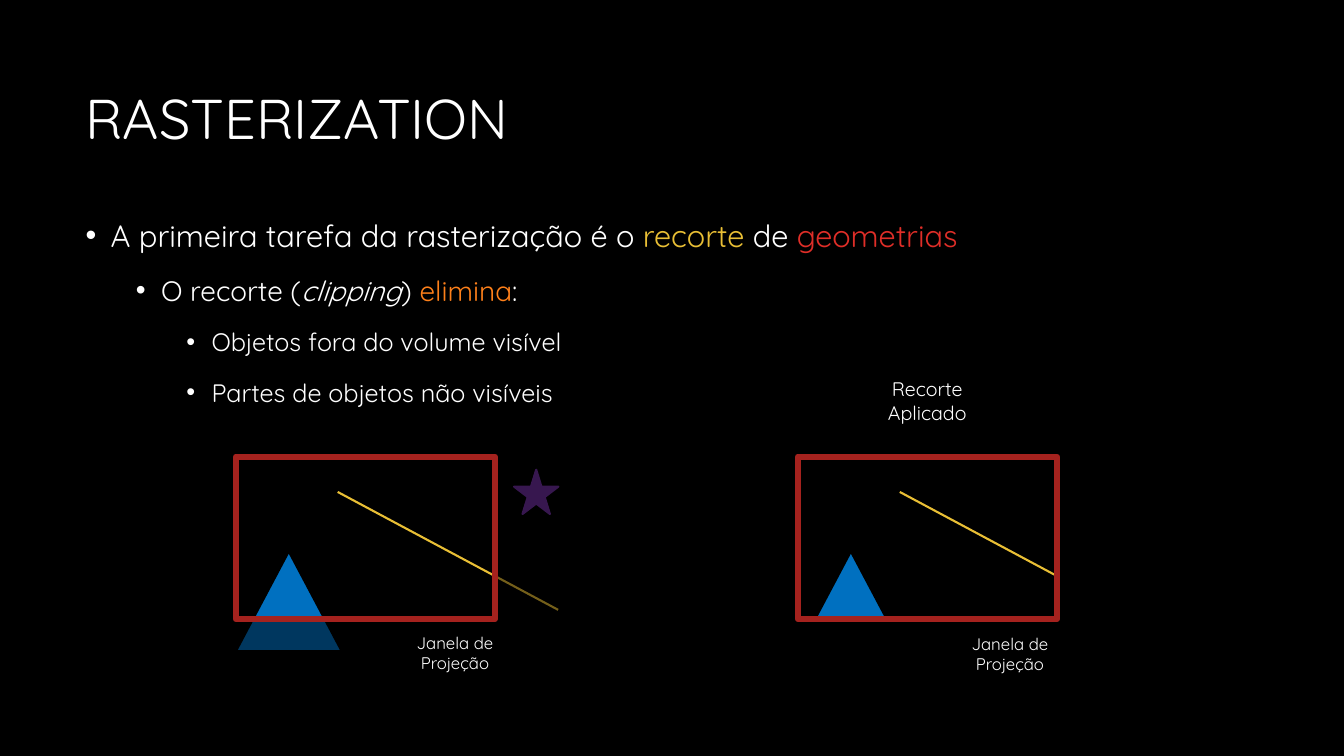
from lxml.etree import SubElement
from pptx import Presentation
from pptx.dml.color import RGBColor
from pptx.enum.shapes import MSO_CONNECTOR, MSO_SHAPE
from pptx.enum.text import MSO_ANCHOR, PP_ALIGN
from pptx.oxml.ns import qn
from pptx.util import Pt

FONT = "Quicksand"
COLORS = {
    "black": "000000",
    "white": "FFFFFF",
    "yellow": "E9BF35",
    "red": "DF2E28",
    "orange": "FE801A",
    "blue": "0070C0",
    "purple": "7030A0",
    "frame": "A5221E",
}
# Each item: level, size, space before, runs of (text, color, italic)
BULLETS = [
    (0, 22, 10, [("A primeira tarefa da rasterização é o ", "white", False),
                 ("recorte ", "yellow", False),
                 ("de", "white", False),
                 (" geometrias", "red", False)]),
    (1, 20, 12, [("O recorte (", "white", False),
                 ("clipping", "white", True),
                 (") ", "white", False),
                 ("elimina", "orange", False),
                 (":", "white", False)]),
    (2, 18, 12, [("Objetos fora do volume visível", "white", False)]),
    (2, 18, 12, [("Partes de objetos não visíveis", "white", False)]),
]


def rgb(name):
    return RGBColor.from_string(COLORS[name])


def add_text_frame(slide, left, top, width, height):
    box = slide.shapes.add_textbox(Pt(left), Pt(top), Pt(width), Pt(height))
    box.text_frame.word_wrap = True
    return box.text_frame


def style_font(font, size, color="white"):
    font.name = FONT
    font.size = Pt(size)
    font.color.rgb = rgb(color)


def add_title(slide, text):
    frame = add_text_frame(slide, 54, 36, 852, 101.5)
    frame.vertical_anchor = MSO_ANCHOR.MIDDLE
    paragraph = frame.paragraphs[0]
    paragraph.text = text
    paragraph.line_spacing = 0.9
    style_font(paragraph.font, 40)


def set_bullet(paragraph, level):
    properties = paragraph._p.get_or_add_pPr()
    properties.set("marL", str(Pt(18 + 36 * level)))
    properties.set("indent", str(Pt(-18)))
    SubElement(properties, qn("a:buFont")).set("typeface", "Arial")
    SubElement(properties, qn("a:buChar")).set("char", "•")


def add_bullets(slide, bullets):
    frame = add_text_frame(slide, 54, 148.3, 852, 337.7)
    for index, (level, size, space, runs) in enumerate(bullets):
        paragraph = frame.add_paragraph() if index else frame.paragraphs[0]
        paragraph.level = level
        paragraph.line_spacing = 1.1
        paragraph.space_before = Pt(space)
        set_bullet(paragraph, level)
        for text, color, italic in runs:
            run = paragraph.add_run()
            run.text = text
            style_font(run.font, size, color)
            run.font.italic = italic


def add_caption(slide, text, left, top, width, height, size):
    paragraph = add_text_frame(slide, left, top, width, height).paragraphs[0]
    paragraph.text = text
    paragraph.alignment = PP_ALIGN.CENTER
    style_font(paragraph.font, size)


def add_figure(slide, kind, left, top, width, height, fill, line, weight, opacity=100):
    shape = slide.shapes.add_shape(kind, Pt(left), Pt(top), Pt(width), Pt(height))
    shape.shadow.inherit = False
    if fill:
        shape.fill.solid()
        shape.fill.fore_color.rgb = rgb(fill)
        if opacity < 100:
            color = shape._element.spPr.find(qn("a:solidFill"))[0]
            SubElement(color, qn("a:alpha")).set("val", str(opacity * 1000))
    else:
        shape.fill.background()
    shape.line.color.rgb = rgb(line)
    shape.line.width = Pt(weight)


def add_segment(slide, x1, y1, x2, y2, color, weight):
    segment = slide.shapes.add_connector(
        MSO_CONNECTOR.STRAIGHT, Pt(x1), Pt(y1), Pt(x2), Pt(y2))
    segment.line.color.rgb = rgb(color)
    segment.line.width = Pt(weight)
    SubElement(segment._element.spPr, qn("a:effectLst"))


def add_clipping_diagram(slide, left, mask_opacity, with_star=False):
    """Draw the projection window, with masks over all that falls outside it."""
    top, width, height = 326.2, 185, 116
    add_figure(slide, MSO_SHAPE.ISOSCELES_TRIANGLE, left, top + 67.7, 75.6, 71.3,
               "blue", "black", 1.5)
    add_segment(slide, left + 72.7, top + 25.2, left + 230.2, top + 109.4, "yellow", 1.5)
    if with_star:
        add_figure(slide, MSO_SHAPE.STAR_5_POINT, left + 198.7, top + 9.3, 31.7, 31.7,
                   "purple", "purple", 1.5)
    masks = [(left - 8.3, top + height, 96.5, 35.3),
             (left + width, top, 72.7, 116.6)]
    for mask in masks:
        add_figure(slide, MSO_SHAPE.RECTANGLE, *mask, "black", "black", 1, mask_opacity)
    add_figure(slide, MSO_SHAPE.RECTANGLE, left, top, width, height, None, "frame", 4.5)


def main():
    presentation = Presentation()
    presentation.slide_width = Pt(960)
    presentation.slide_height = Pt(540)
    slide = presentation.slides.add_slide(presentation.slide_layouts[6])
    slide.background.fill.solid()
    slide.background.fill.fore_color.rgb = rgb("black")

    add_title(slide, "RASTERIZATION")
    add_bullets(slide, BULLETS)
    add_clipping_diagram(slide, 168.5, mask_opacity=50, with_star=True)
    add_clipping_diagram(slide, 570, mask_opacity=100)
    for left, top in [(287.2, 448.6), (683.6, 449.3)]:
        add_caption(slide, "Janela de Projeção", left, top, 75.6, 36, 12)
    add_caption(slide, "Recorte Aplicado", 617, 265.7, 90.7, 41, 14)
    presentation.save("out.pptx")


if __name__ == "__main__":
    main()
